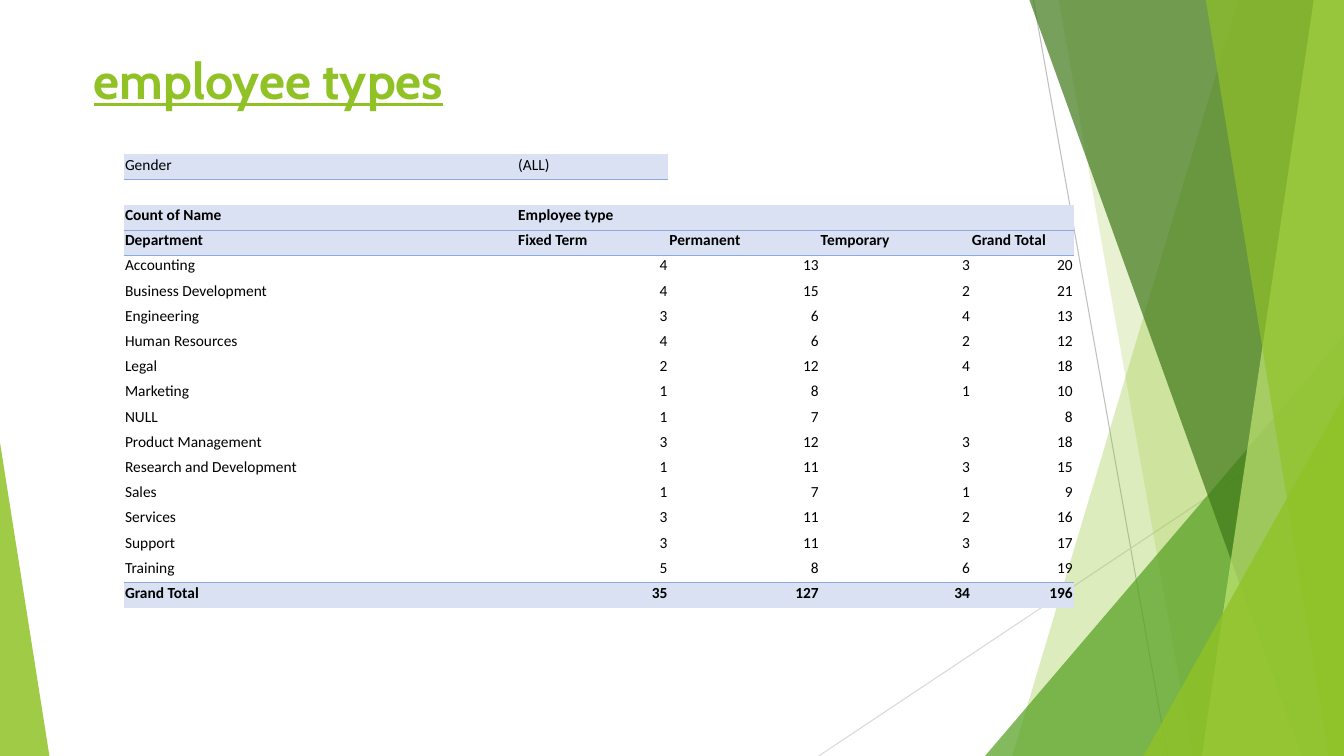
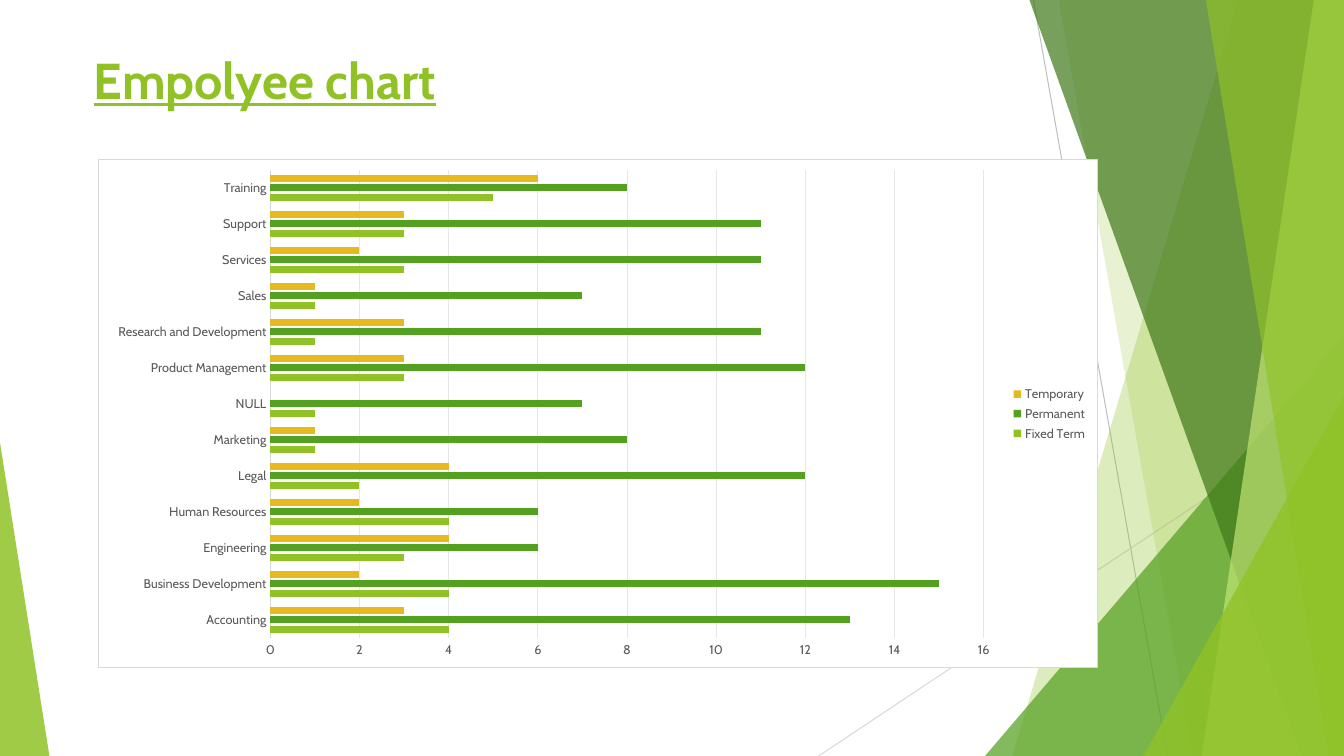
from lxml.etree import SubElement
from pptx import Presentation
from pptx.chart.data import CategoryChartData
from pptx.dml.color import RGBColor
from pptx.enum.chart import XL_CHART_TYPE, XL_LEGEND_POSITION, XL_TICK_MARK
from pptx.enum.shapes import MSO_CONNECTOR, MSO_SHAPE
from pptx.enum.text import MSO_ANCHOR, PP_ALIGN
from pptx.oxml import parse_xml
from pptx.oxml.ns import nsdecls, qn
from pptx.util import Inches, Pt

LIME = RGBColor(0x90, 0xC2, 0x26)
GREEN = RGBColor(0x54, 0xA0, 0x21)
DARK = RGBColor(0x3F, 0x78, 0x19)
PALE = RGBColor(0xC0, 0xE4, 0x74)
GOLD = RGBColor(0xE6, 0xB9, 0x1E)
BLACK = RGBColor(0, 0, 0)
GREY = RGBColor(0x59, 0x59, 0x59)
SILVER = RGBColor(0xBF, 0xBF, 0xBF)
LIGHT = RGBColor(0xD9, 0xD9, 0xD9)
MIST = RGBColor(0xE6, 0xE6, 0xE6)
BAND = RGBColor(0xD9, 0xE1, 0xF2)
RULE = RGBColor(0x8E, 0xA9, 0xDB)
HEAD, BODY = "Cabin", "Calibri"
WIDE, HIGH = 13.33, 7.5
PLAIN = "{2D5ABB26-0587-4C30-8999-92F81FD0307C}"  # no style, no grid

TYPES = ["Fixed Term", "Permanent", "Temporary"]
STAFF = {
    "Accounting": (4, 13, 3),
    "Business Development": (4, 15, 2),
    "Engineering": (3, 6, 4),
    "Human Resources": (4, 6, 2),
    "Legal": (2, 12, 4),
    "Marketing": (1, 8, 1),
    "NULL": (1, 7, None),
    "Product Management": (3, 12, 3),
    "Research and Development": (1, 11, 3),
    "Sales": (1, 7, 1),
    "Services": (3, 11, 2),
    "Support": (3, 11, 3),
    "Training": (5, 8, 6),
}


def style(font, size, color, name, bold=False):
    font.size, font.name, font.bold = Pt(size), name, bold
    font.color.rgb = color


def stroke(line, color, width=0.75):
    line.color.rgb = color
    line.width = Pt(width)


def tint(shape, color, alpha):
    """Fill a shape with a see-through colour and no outline."""
    shape.shadow.inherit = False
    shape.fill.solid()
    shape.fill.fore_color.rgb = color
    shape.line.fill.background()
    tone = shape.element.spPr.find(".//" + qn("a:srgbClr"))
    SubElement(tone, qn("a:alpha"), val=str(alpha * 1000))


# Backdrop

def ray(shapes, x1, y1, x2, y2, color):
    line = shapes.add_connector(
        MSO_CONNECTOR.STRAIGHT, Inches(x1), Inches(y1), Inches(x2), Inches(y2))
    stroke(line.line, color)
    SubElement(line.element.spPr, qn("a:effectLst"))
    return line


def blade(shapes, top, foot, color, alpha):
    """Full-height panel from a slanted left edge to the slide's right edge."""
    pen = shapes.build_freeform(Inches(top), 0)
    pen.add_line_segments([(Inches(x), Inches(y)) for x, y in
                           ((WIDE, 0), (WIDE, HIGH), (foot, HIGH))])
    panel = pen.convert_to_shape()
    tint(panel, color, alpha)
    return panel


def wedge(shapes, left, top, width, apex, color, alpha):
    """Triangle standing on the bottom edge of the slide."""
    part = shapes.add_shape(
        MSO_SHAPE.ISOSCELES_TRIANGLE, Inches(left), Inches(top),
        Inches(width), Inches(HIGH - top))
    part.adjustments[0] = apex
    tint(part, color, alpha)
    return part


def backdrop(slide):
    """Draw the shared facets and move them to the slide's layout."""
    shapes = slide.shapes
    parts = [
        ray(shapes, 10.25, 0, 11.58, HIGH, SILVER),
        ray(shapes, WIDE, 4.03, 8.12, HIGH, LIGHT),
        blade(shapes, 12.28, 10.04, LIME, 30),
        blade(shapes, 10.5, 11.83, LIME, 20),
        wedge(shapes, 9.77, 3.33, 3.56, 1, GREEN, 72),
        blade(shapes, 10.21, 12.91, DARK, 70),
        blade(shapes, 13.03, 11.92, PALE, 70),
        blade(shapes, 11.96, 13.18, LIME, 65),
        wedge(shapes, 11.34, 3.93, 1.99, 1, LIME, 80),
        wedge(shapes, 0, 4.39, 0.49, 0, LIME, 85),
    ]
    tree = slide.slide_layout.shapes.element
    for num, part in enumerate(parts, 100):
        part.element.find(".//" + qn("p:cNvPr")).set("id", str(num))
        tree.append(part.element)


# Title

def heading(slide, text):
    title = slide.shapes.title
    title.left, title.top = Inches(0.83), Inches(0.42)
    title.width, title.height = Inches(11.68), Inches(0.81)
    frame = title.text_frame
    frame.text = text
    frame.vertical_anchor = MSO_ANCHOR.MIDDLE
    para = frame.paragraphs[0]
    para.alignment = PP_ALIGN.LEFT
    para.line_spacing = 0.9
    font = para.runs[0].font
    style(font, 36, LIME, HEAD, True)
    font.underline = True


# Table

def write(cell, value, bold):
    cell.vertical_anchor = MSO_ANCHOR.BOTTOM
    cell.margin_left = cell.margin_right = cell.margin_top = Inches(0.01)
    cell.margin_bottom = Inches(0.05)
    para = cell.text_frame.paragraphs[0]
    if value is None:  # keep empty rows as low as the others
        SubElement(para._p, qn("a:endParaRPr"), sz="1100")
        return
    para.text = str(value)
    if isinstance(value, int):
        para.alignment = PP_ALIGN.RIGHT
    style(para.runs[0].font, 11, BLACK, BODY, bold)


def shade(cell, fill, ruled):
    if fill:
        cell.fill.solid()
        cell.fill.fore_color.rgb = BAND
    else:
        cell.fill.background()
    if ruled:
        cell._tc.get_or_add_tcPr().insert(0, parse_xml(
            f'<a:lnB {nsdecls("a")} w="6350"><a:solidFill>'
            f'<a:srgbClr val="{RULE}"/></a:solidFill></a:lnB>'))


def pivot(slide, left, top, row):
    """Staff counts by department, with totals worked out."""
    rows = [["Gender", "(ALL)"], [], ["Count of Name", "Employee type"],
            ["Department", *TYPES, "Grand Total"]]
    for dept, nums in STAFF.items():
        rows.append([dept, *nums, sum(n or 0 for n in nums)])
    sums = [sum(n or 0 for n in col) for col in zip(*STAFF.values())]
    rows.append(["Grand Total", *sums, sum(sums)])

    cols = [3.9, 1.5, 1.5, 1.5, 1.02]
    last = len(rows) - 1
    frame = slide.shapes.add_table(
        len(rows), len(cols), Inches(left), Inches(top),
        Inches(sum(cols)), Inches(row * len(rows)))
    frame.element.find(".//" + qn("a:tableStyleId")).text = PLAIN
    table = frame.table
    table.first_row = table.horz_banding = False
    for col, width in zip(table.columns, cols):
        col.width = Inches(width)
    for r, vals in enumerate(rows):
        table.rows[r].height = Inches(row)
        vals = vals + [None] * (len(cols) - len(vals))
        for c, value in enumerate(vals):
            cell = table.cell(r, c)
            bold = r in (2, 3, last)
            key = r == 0 and c < 2  # filter cells
            write(cell, value, bold)
            shade(cell, bold or key, key or r in (2, 3, last - 1))


# Chart

def bars(slide, left, top, width, height):
    data = CategoryChartData()
    data.categories = list(STAFF)
    for name, vals in zip(TYPES, zip(*STAFF.values())):
        data.add_series(name, vals)
    chart = slide.shapes.add_chart(
        XL_CHART_TYPE.BAR_CLUSTERED, Inches(left), Inches(top),
        Inches(width), Inches(height), data).chart
    chart.has_title = False
    style(chart.font, 10, BLACK, HEAD)

    # White panel with a thin border
    chart.element.find(qn("c:chart")).addnext(parse_xml(
        f'<c:spPr {nsdecls("c", "a")}><a:solidFill><a:srgbClr val="FFFFFF"/>'
        f'</a:solidFill><a:ln w="9525"><a:solidFill><a:srgbClr val="{LIGHT}"/>'
        '</a:solidFill></a:ln></c:spPr>'))

    # Bars
    plot = chart.plots[0]
    plot.gap_width, plot.overlap = 140, -40
    plot.vary_by_categories = False
    for item, color in zip(plot.series, (LIME, GREEN, GOLD)):
        item.format.fill.solid()
        item.format.fill.fore_color.rgb = color

    # Axes
    cats, nums = chart.category_axis, chart.value_axis
    for axis in (cats, nums):
        axis.major_tick_mark = axis.minor_tick_mark = XL_TICK_MARK.NONE
        style(axis.tick_labels.font, 9, GREY, HEAD)
    stroke(cats.format.line, LIGHT)
    nums.format.line.fill.background()
    nums.minimum_scale, nums.maximum_scale, nums.major_unit = 0, 16, 2
    nums.has_major_gridlines = True
    stroke(nums.major_gridlines.format.line, MIST)

    # Legend
    chart.has_legend = True
    chart.legend.position = XL_LEGEND_POSITION.RIGHT
    chart.legend.include_in_layout = False
    style(chart.legend.font, 9, GREY, HEAD)


def main():
    prs = Presentation()
    prs.slide_width, prs.slide_height = Inches(WIDE), Inches(HIGH)
    layout = prs.slide_layouts[5]

    slide = prs.slides.add_slide(layout)
    backdrop(slide)
    heading(slide, "employee types")
    pivot(slide, 1.23, 1.53, 0.25)

    slide = prs.slides.add_slide(layout)
    heading(slide, "Empolyee chart")
    bars(slide, 0.97, 1.58, 9.92, 5.05)

    prs.save("out.pptx")


if __name__ == "__main__":
    main()
